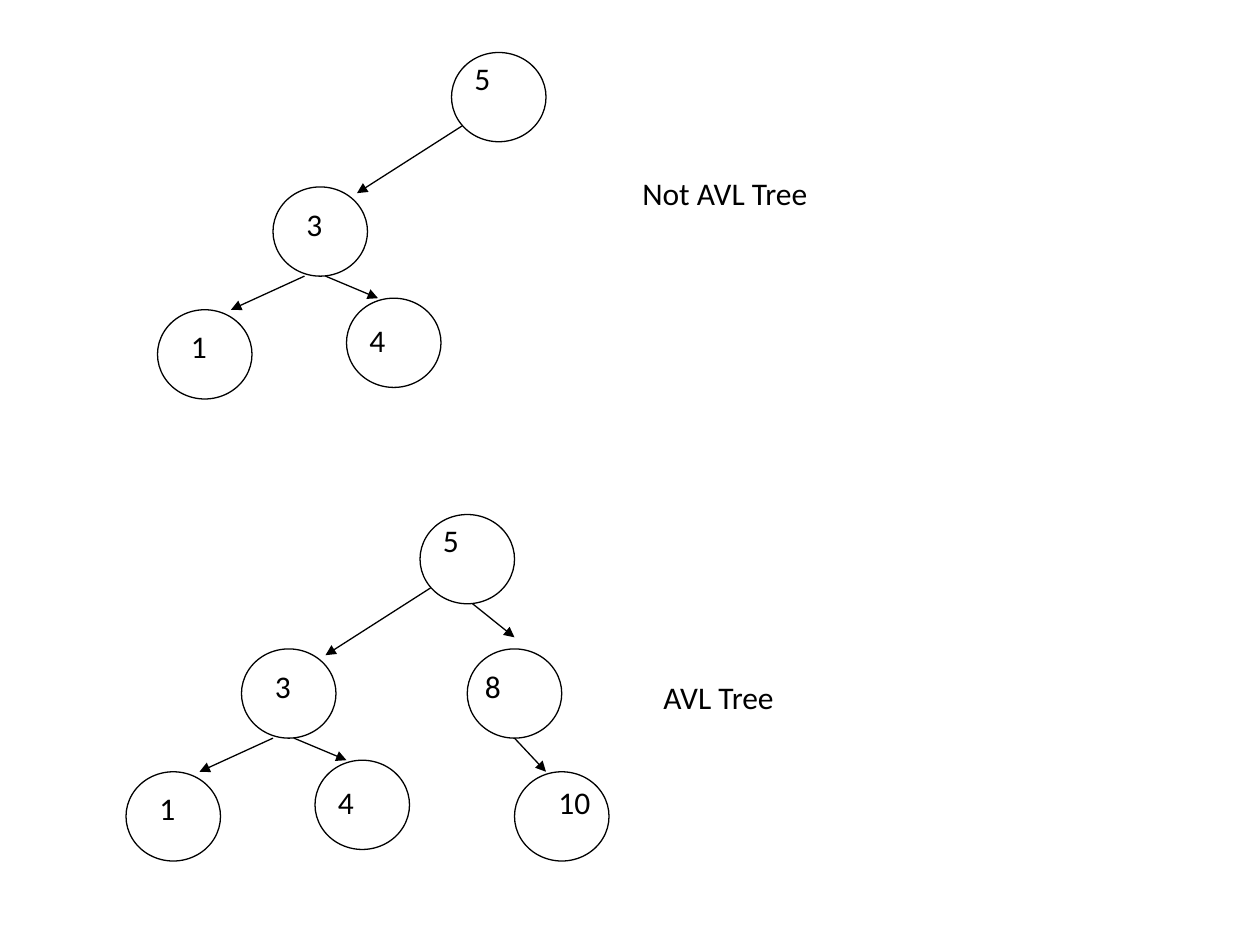
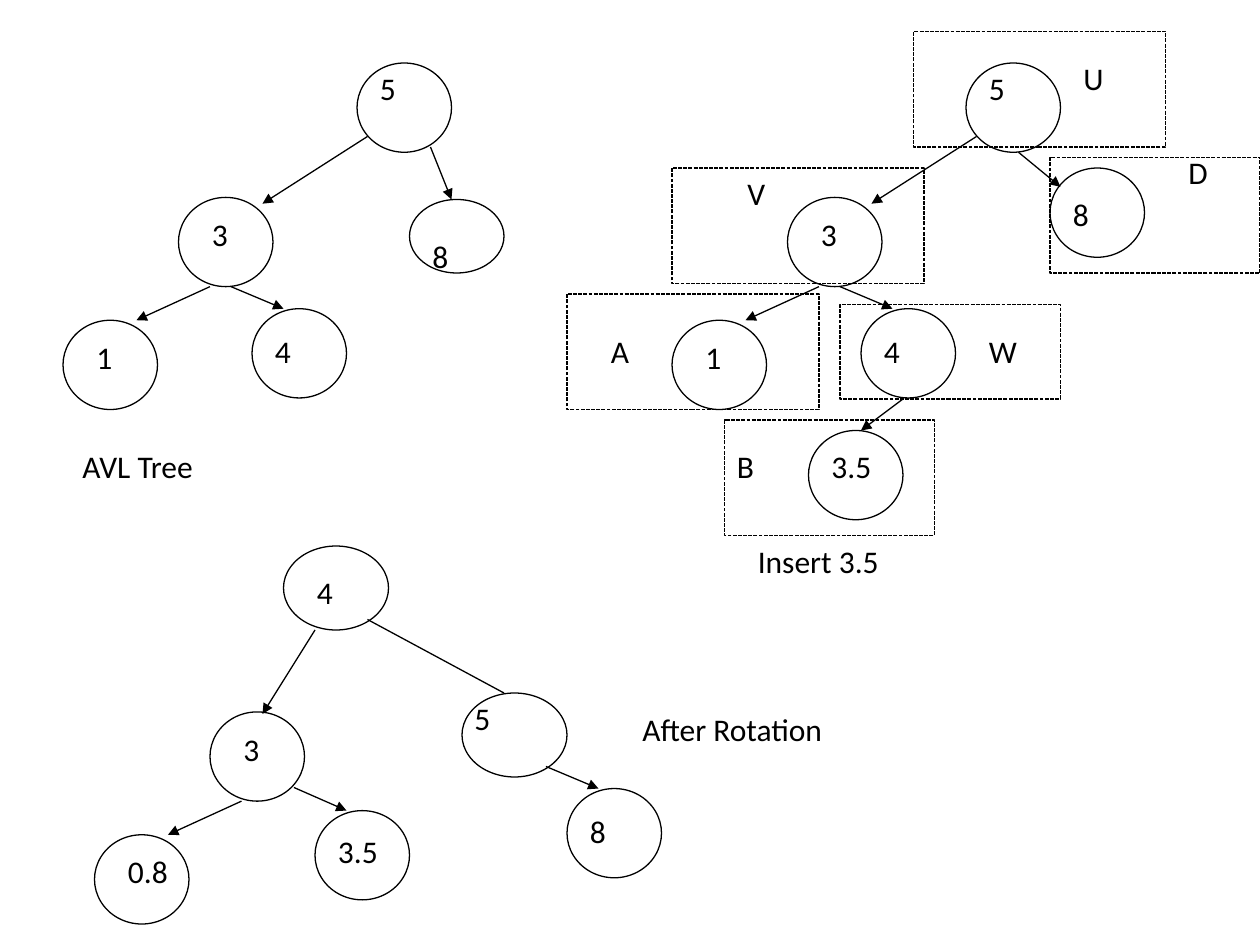
from dataclasses import dataclass
from typing import Any

from pptx import Presentation
from pptx.dml.color import RGBColor
from pptx.enum.dml import MSO_LINE_DASH_STYLE as Dash
from pptx.enum.shapes import MSO_CONNECTOR as Connector, MSO_SHAPE as Shape
from pptx.enum.text import MSO_AUTO_SIZE as AutoSize, PP_ALIGN as Align
from pptx.oxml.ns import qn
from pptx.util import Emu, Pt
from lxml.etree import SubElement

SCALE = 7620
PAGE_WIDTH, PAGE_HEIGHT = 1200, 900
COLOURS = {"ink": "000000", "paper": "FFFFFF"}
INK = RGBColor.from_string(COLOURS["ink"])
FONT_FORMAT = {"name": "Calibri", "size": Pt(18)}
FRAME_FORMAT = {"word_wrap": True, "auto_size": AutoSize.SHAPE_TO_FIT_TEXT}
OUTLINE_FORMAT = {"width": Pt(0.75)}
DOTTED_FORMAT = {**OUTLINE_FORMAT, "dash_style": Dash.SQUARE_DOT}


@dataclass(frozen=True)
class Label:
    """A line of text with its box."""
    text: str
    left: int
    top: int
    width: int = 490
    height: int = 60


@dataclass(frozen=True)
class Node:
    """A tree node; its key is placed relative to the circle."""
    key: str
    left: int
    top: int
    key_dx: int
    key_dy: int
    key_width: int = 120
    width: int = 90
    height: int = 85


@dataclass(frozen=True)
class Edge:
    """A link from a parent to a child."""
    x1: int
    y1: int
    x2: int
    y2: int
    arrow: bool = True


@dataclass(frozen=True)
class Region:
    """A dotted rectangle with a letter."""
    letter: str
    left: int
    top: int
    width: int
    height: int
    letter_left: int
    letter_top: int


@dataclass(frozen=True)
class Tree:
    """Nodes and edges, measured from an origin."""
    nodes: tuple[Node, ...]
    edges: tuple[Edge, ...]
    left: int = 0
    top: int = 0


CORE_NODES = (
    Node("5", 0, 0, 10, 0, 160),
    Node("3", -170, 128, 20, 11, 160),
    Node("1", -280, 245, 20, 11, 100),
    Node("4", -100, 234, 10, 16),
)
CORE_EDGES = (
    Edge(10, 70, -90, 134),
    Edge(-140, 213, -210, 245),
    Edge(-120, 213, -70, 234),
)


def grown_tree(left: int, top: int, nodes: tuple = (), edges: tuple = ()) -> Tree:
    """Return the core tree at a root position, with further nodes and edges."""
    return Tree(CORE_NODES + nodes, CORE_EDGES + edges, left, top)


UNBALANCED = grown_tree(430, 50)
BALANCED = grown_tree(
    400, 490,
    (Node("8", 45, 128, 5, 11, 160), Node("10", 90, 245, 30, 5, 110)),
    (Edge(50, 85, 90, 117), Edge(90, 213, 120, 245)),
)
BEFORE_INSERT = grown_tree(
    340, 60, (Node("8", 50, 130, 10, 30, height=70),), (Edge(70, 80, 90, 130),)
)
AFTER_INSERT = grown_tree(
    920, 60,
    (Node("8", 80, 100, 10, 20, 110), Node("3.5", -150, 350, 10, 10, 160)),
    (Edge(50, 85, 90, 118), Edge(-60, 320, -100, 350)),
)
ROTATED = Tree(
    (
        Node("4", 270, 520, 20, 20, 250, 100, 80),
        Node("5", 440, 660, 0, 0, 100, 100, 80),
        Node("3", 200, 678, 20, 11, 160),
        Node("0.8", 90, 795, 20, 11, 100),
        Node("3.5", 300, 772, 10, 15),
        Node("8", 540, 751, 10, 16),
    ),
    (
        Edge(350, 590, 480, 660, arrow=False),
        Edge(300, 600, 250, 680),
        Edge(230, 763, 160, 795),
        Edge(280, 750, 330, 772),
        Edge(520, 730, 570, 751),
    ),
)
REGIONS = (
    Region("U", 870, 30, 240, 110, 1020, 50),
    Region("V", 640, 160, 240, 110, 700, 160),
    Region("A", 540, 280, 240, 110, 570, 310),
    Region("W", 800, 290, 210, 90, 930, 310),
    Region("B", 690, 400, 200, 110, 690, 420),
    Region("D", 1000, 150, 200, 110, 1120, 140),
)
COMPARISON_LABELS = (Label("AVL Tree", 620, 640), Label("Not AVL Tree", 600, 160))
ROTATION_LABELS = (
    Label("Insert 3.5", 710, 510),
    Label(" AVL Tree", 60, 420),
    Label("After Rotation", 600, 670, 300),
)


def px(*lengths: int) -> list[Emu]:
    """Turn px into EMU."""
    return [Emu(length * SCALE) for length in lengths]


def apply(target: Any, values: dict) -> None:
    """Set each format value on the target."""
    for name, value in values.items():
        setattr(target, name, value)


def draw_label(page: Any, label: Label) -> None:
    """Draw a left-aligned line of text."""
    box = page.shapes.add_textbox(*px(label.left, label.top, label.width, label.height))
    apply(box.text_frame, FRAME_FORMAT)
    para = box.text_frame.paragraphs[0]
    para.alignment = Align.LEFT
    span = para.add_run()
    span.text = label.text
    apply(span.font, FONT_FORMAT)
    span.font.color.rgb = INK


def draw_outline(page: Any, kind: Shape, item: Node | Region, left: int, top: int,
                 line_format: dict) -> None:
    """Draw an unfilled shape with a thin line."""
    outline = page.shapes.add_shape(kind, *px(left, top, item.width, item.height))
    outline.shadow.inherit = False
    outline.fill.background()
    outline.line.color.rgb = INK
    apply(outline.line, line_format)


def draw_edge(page: Any, edge: Edge, left: int, top: int) -> None:
    """Draw a straight link, with an arrowhead where it has one."""
    ends = px(left + edge.x1, top + edge.y1, left + edge.x2, top + edge.y2)
    link = page.shapes.add_connector(Connector.STRAIGHT, *ends)
    link.line.color.rgb = INK
    apply(link.line, OUTLINE_FORMAT)
    if edge.arrow:
        SubElement(link.line._get_or_add_ln(), qn("a:tailEnd"), type="triangle")
    SubElement(link._element.spPr, qn("a:effectLst"))


def draw_tree(page: Any, tree: Tree) -> None:
    """Draw the nodes of a tree, their keys and the links."""
    for node in tree.nodes:
        left, top = tree.left + node.left, tree.top + node.top
        draw_outline(page, Shape.OVAL, node, left, top, OUTLINE_FORMAT)
        draw_label(page, Label(node.key, left + node.key_dx, top + node.key_dy,
                               node.key_width, 48))
    for edge in tree.edges:
        draw_edge(page, edge, tree.left, tree.top)


def draw_region(page: Any, region: Region) -> None:
    """Draw a dotted rectangle and its letter."""
    draw_outline(page, Shape.RECTANGLE, region, region.left, region.top, DOTTED_FORMAT)
    draw_label(page, Label(region.letter, region.letter_left, region.letter_top, 80))


def add_page(deck: Any, trees: tuple, labels: tuple, regions: tuple = ()) -> None:
    """Add a slide with trees, captions and regions."""
    page = deck.slides.add_slide(deck.slide_layouts[6])
    page.background.fill.solid()
    page.background.fill.fore_color.rgb = RGBColor.from_string(COLOURS["paper"])
    for tree in trees:
        draw_tree(page, tree)
    for label in labels:
        draw_label(page, label)
    for region in regions:
        draw_region(page, region)


def main() -> None:
    """Build and save the deck."""
    deck = Presentation()
    deck.slide_width, deck.slide_height = px(PAGE_WIDTH, PAGE_HEIGHT)
    add_page(deck, (BALANCED, UNBALANCED), COMPARISON_LABELS)
    add_page(deck, (BEFORE_INSERT, AFTER_INSERT, ROTATED), ROTATION_LABELS, REGIONS)
    deck.save("out.pptx")


if __name__ == "__main__":
    main()
